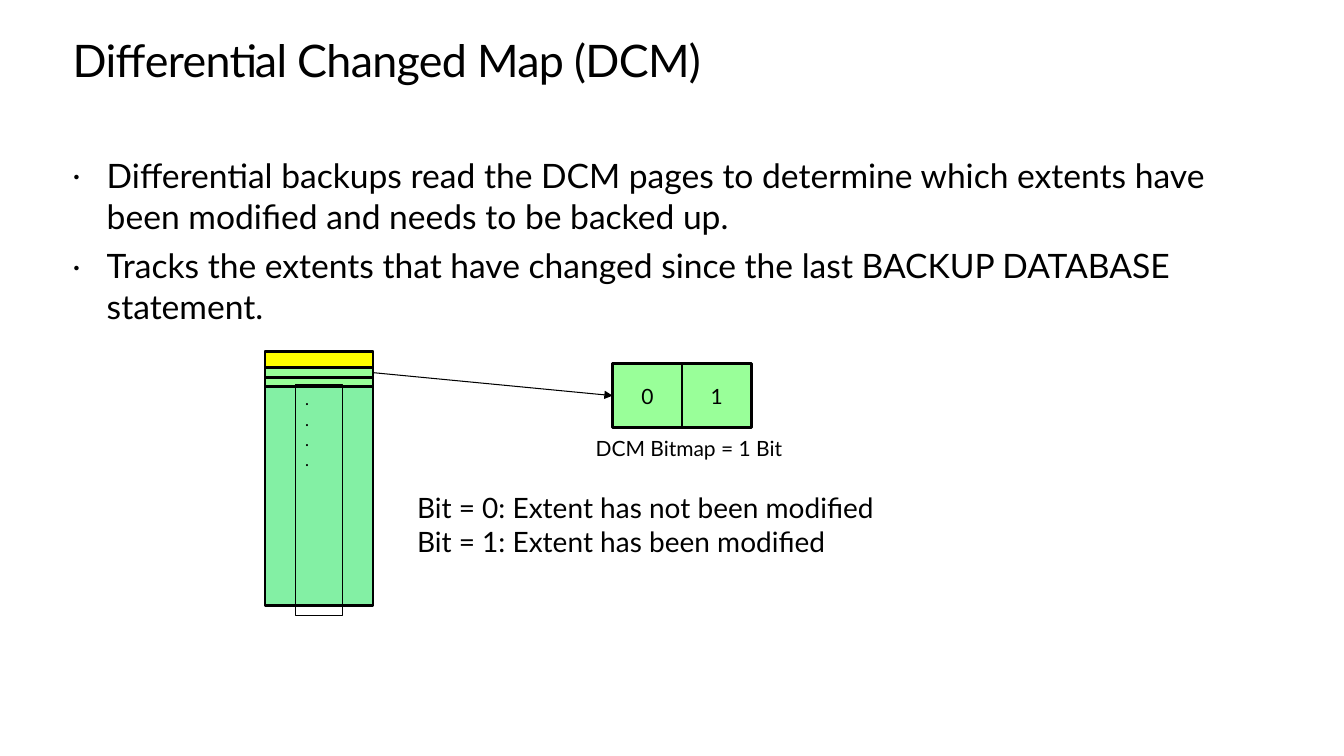
from lxml import etree
from pptx import Presentation
from pptx import util as u
from pptx.dml.color import RGBColor
from pptx.enum import shapes, text
from pptx.oxml.ns import qn

BLACK = RGBColor(0x00, 0x00, 0x00)
WHITE = RGBColor(0xFF, 0xFF, 0xFF)
YELLOW = RGBColor(0xFF, 0xFF, 0x00)
FILE_GREEN = RGBColor(0x83, 0xF0, 0xA4)
PAGE_GREEN = RGBColor(0x99, 0xFF, 0x99)

FLUSH = {"margin_left": 0, "margin_top": 0, "margin_right": 0, "margin_bottom": 0,
         "vertical_anchor": text.MSO_ANCHOR.TOP, "word_wrap": True}
LABEL = {"word_wrap": True, "vertical_anchor": text.MSO_ANCHOR.TOP,
         "auto_size": text.MSO_AUTO_SIZE.SHAPE_TO_FIT_TEXT}
CENTRED = {"word_wrap": True, "vertical_anchor": text.MSO_ANCHOR.MIDDLE,
           "auto_size": text.MSO_AUTO_SIZE.NONE}
LEFT = {"alignment": text.PP_ALIGN.LEFT}


def assign(target, values):
    for name, value in values.items():
        setattr(target, name, value)


class SlideBuilder:
    def __init__(self, slide, font="Lato"):
        self.slide = slide
        self.font = font

    def set_text(self, shape, lines, size, frame, paragraph_format):
        assign(shape.text_frame, frame)
        shape.text_frame.text = "\n".join(lines)
        for paragraph in shape.text_frame.paragraphs:
            assign(paragraph, paragraph_format)
            for run in paragraph.runs:
                assign(run.font, {"name": self.font, "size": u.Pt(size)})
                run.font.color.rgb = BLACK

    def place(self, shape, box):
        assign(shape, dict(zip(("left", "top", "width", "height"), map(u.Cm, box))))

    def title(self, box, wording):
        heading = self.slide.shapes.title
        self.place(heading, box)
        heading.fill.solid()
        heading.fill.fore_color.rgb = WHITE
        frame = {**FLUSH, "auto_size": text.MSO_AUTO_SIZE.SHAPE_TO_FIT_TEXT}
        self.set_text(heading, [wording], 32, frame, {**LEFT, "line_spacing": u.Pt(36.2)})
        for run in heading.text_frame.paragraphs[0].runs:
            run._r.get_or_add_rPr().set("spc", "-50")

    def bullets(self, box, points):
        body = self.slide.placeholders[1]
        self.place(body, box)
        frame = {**FLUSH, "auto_size": text.MSO_AUTO_SIZE.NONE}
        self.set_text(body, points, 24, frame, {**LEFT, "space_before": u.Pt(6.7)})
        body.text_frame.paragraphs[0].space_before = u.Pt(0)
        indent = u.Cm(0.86)
        for paragraph in body.text_frame.paragraphs:
            properties = paragraph._p.get_or_add_pPr()
            properties.set("marL", str(indent))
            properties.set("indent", str(-indent))
            colour = etree.SubElement(properties, qn("a:buClr"))
            etree.SubElement(colour, qn("a:srgbClr"), val=str(BLACK))
            etree.SubElement(properties, qn("a:buSzPct"), val="90000")
            etree.SubElement(properties, qn("a:buFont"), typeface=self.font)
            etree.SubElement(properties, qn("a:buChar"), char="·")

    def rectangle(self, box, fill=None, line=BLACK, width=2):
        rect = self.slide.shapes.add_shape(shapes.MSO_SHAPE.RECTANGLE, *map(u.Cm, box))
        rect.shadow.inherit = False
        if fill is None:
            rect.fill.background()
        else:
            rect.fill.solid()
            rect.fill.fore_color.rgb = fill
        rect.line.color.rgb = line
        rect.line.width = u.Pt(width)
        return rect

    def label(self, box, lines, size, line=WHITE, wrap=True):
        rect = self.rectangle(box, line=line, width=0.75)
        self.set_text(rect, lines, size, {**LABEL, "word_wrap": wrap}, LEFT)

    def bit(self, box, digit):
        cell = self.rectangle(box, PAGE_GREEN)
        self.set_text(cell, [digit], 15, CENTRED, {"alignment": text.PP_ALIGN.CENTER})
        return cell

    def arrow(self, start, end):
        link = self.slide.shapes.add_connector(shapes.MSO_CONNECTOR.STRAIGHT, 0, 0, 0, 0)
        link.begin_connect(start, 3)
        link.end_connect(end, 1)
        link.line.color.rgb = BLACK
        link.line.width = u.Pt(0.75)
        properties = link._element.spPr
        etree.SubElement(properties.find(qn("a:ln")), qn("a:tailEnd"), type="triangle")
        etree.SubElement(properties, qn("a:effectLst"))


def main():
    deck = Presentation()
    assign(deck, {"slide_width": u.Cm(33.87), "slide_height": u.Cm(19.05)})
    page = SlideBuilder(deck.slides.add_slide(deck.slide_layouts[1]))

    page.title((1.83, 0.89, 30.23, 1.27), "Differential Changed Map (DCM)")
    page.bullets((1.83, 3.91, 30.23, 13.39), [
        "Differential backups read the DCM pages to determine which extents have "
        "been modified and needs to be backed up.",
        "Tracks the extents that have changed since the last BACKUP DATABASE statement.",
    ])

    file_left, file_top, file_width = 6.68, 8.86, 2.72
    header_height, extent_height = 0.41, 0.24
    page.rectangle((file_left, file_top, file_width, 6.4), FILE_GREEN)
    page.rectangle((file_left, file_top, file_width, header_height), YELLOW)
    second_extent, first_extent = [
        page.rectangle((file_left, file_top + header_height + row * extent_height,
                        file_width, extent_height), PAGE_GREEN)
        for row in (1, 0)
    ]

    bit_width = 1.75
    zero_bit, one_bit = [
        page.bit((15.44 + column * bit_width, 9.17, bit_width, 1.6), digit)
        for column, digit in enumerate("01")
    ]
    page.arrow(first_extent, zero_bit)

    page.label((14.76, 10.85, 5.54, 0.89), ["DCM Bitmap = 1 Bit"], 15)
    page.label((10.26, 12.24, 18.67, 1.96), [
        "Bit = 0: Extent has not been modified",
        "Bit = 1: Extent has been modified",
    ], 20)
    page.label((7.44, 9.68, 1.19, 5.82), ["."] * 4, 12, line=BLACK, wrap=False)

    deck.save("out.pptx")


if __name__ == "__main__":
    main()
